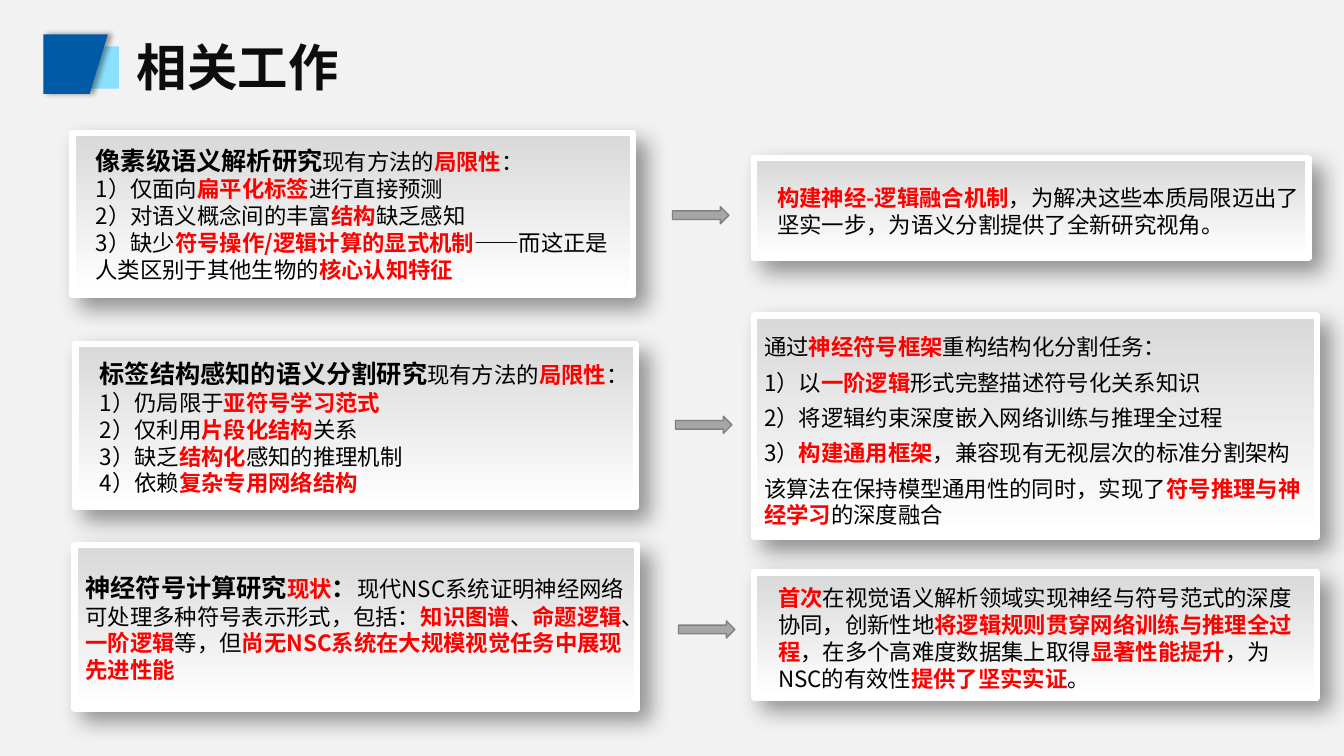
from dataclasses import dataclass

from lxml import etree
from pptx import Presentation
from pptx.dml.color import RGBColor
from pptx.enum.shapes import MSO_SHAPE
from pptx.enum.text import MSO_ANCHOR, MSO_AUTO_SIZE, PP_ALIGN
from pptx.oxml.ns import qn
from pptx.util import Pt

RECTANGLE = MSO_SHAPE.RECTANGLE
RIGHT_ARROW = MSO_SHAPE.RIGHT_ARROW
TOP = MSO_ANCHOR.TOP
LEFT = PP_ALIGN.LEFT
NO_AUTO_SIZE = MSO_AUTO_SIZE.NONE
EMU_PER_PX = 9144
EMU_PER_PT = 12700


@dataclass(frozen=True)
class Theme:
    font: str = "Noto Sans CJK SC"
    background: str = "F2F2F2"
    title: str = "0D0D0D"
    ink: str = "000000"
    accent: str = "FF0000"
    mark_back: str = "89DFFD"
    mark_front: str = "005AA6"
    card_top: str = "D9D9D9"
    card_bottom: str = "FFFFFF"
    card_border: str = "FFFFFF"
    arrow: str = "A6A6A6"
    arrow_border: str = "808080"
    title_size: int = 36
    lead_size: int = 18
    body_size: int = 16


THEME = Theme()


@dataclass(frozen=True)
class Box:
    left: int
    top: int
    width: int
    height: int

    def emu(self) -> list[int]:
        return [px(n) for n in (self.left, self.top, self.width, self.height)]


@dataclass(frozen=True)
class Span:
    text: str
    color: str = THEME.ink
    bold: bool = False
    size: int = THEME.body_size


@dataclass(frozen=True)
class Card:
    frame: Box
    text_box: Box
    paragraphs: list[list[Span]]
    space_before: int = 0


def px(length: int) -> int:
    return length * EMU_PER_PX


def rgb(color: str) -> RGBColor:
    return RGBColor.from_string(color)


def lead(text: str) -> Span:
    return Span(text, bold=True, size=THEME.lead_size)


def red(text: str) -> Span:
    return Span(text, color=THEME.accent, bold=True)


def add_span(para, text: str, *, size: int, color: str, bold: bool) -> None:
    span = para.add_run()
    span.text = text
    span.font.size = Pt(size)
    span.font.bold = bold
    span.font.name = THEME.font
    span.font.color.rgb = rgb(color)
    east_asian = etree.SubElement(span.font._element, qn("a:ea"))
    east_asian.set("typeface", THEME.font)


def add_text(slide, box: Box, paragraphs: list[list[Span]], *,
             wrap: bool = True, space_before: int = 0) -> None:
    frame = slide.shapes.add_textbox(*box.emu()).text_frame
    frame.word_wrap = wrap
    frame.auto_size = NO_AUTO_SIZE
    frame.vertical_anchor = TOP
    for index, spans in enumerate(paragraphs):
        para = frame.add_paragraph() if index else frame.paragraphs[0]
        para.alignment = LEFT
        if index:
            para.space_before = Pt(space_before)
        for span in spans:
            add_span(para, span.text, size=span.size, color=span.color, bold=span.bold)


def paint(shape, fill: str, border: str | None = None, border_width: float = 1) -> None:
    shape.shadow.inherit = False
    shape.fill.solid()
    shape.fill.fore_color.rgb = rgb(fill)
    if border is None:
        shape.line.fill.background()
    else:
        shape.line.color.rgb = rgb(border)
        shape.line.width = Pt(border_width)


def add_shadow(shape, *, blur: int, distance: int, angle: int) -> None:
    effects = shape.element.spPr.find(qn("a:effectLst"))
    shadow = etree.SubElement(effects, qn("a:outerShdw"), {
        "blurRad": str(blur * EMU_PER_PT), "dist": str(distance * EMU_PER_PT),
        "dir": str(angle * 60000), "algn": "tl", "rotWithShape": "0"})
    color = etree.SubElement(shadow, qn("a:srgbClr"), val="000000")
    etree.SubElement(color, qn("a:alpha"), val="40000")


def add_title(slide) -> None:
    back = slide.shapes.add_shape(RECTANGLE, *Box(69, 46, 49, 42).emu())
    paint(back, THEME.mark_back)
    outline = slide.shapes.build_freeform(43, 34, scale=EMU_PER_PX)
    outline.add_line_segments([(107, 34), (89, 93), (43, 93)], close=True)
    front = outline.convert_to_shape()
    paint(front, THEME.mark_front)
    add_shadow(front, blur=4, distance=3, angle=0)
    title = Span("相关工作", color=THEME.title, bold=True, size=THEME.title_size)
    add_text(slide, Box(126, 31, 220, 71), [[title]], wrap=False)


def add_card(slide, card: Card) -> None:
    frame = slide.shapes.add_shape(RECTANGLE, *card.frame.emu())
    paint(frame, THEME.card_top, THEME.card_border, 4.5)
    frame.fill.gradient()
    frame.fill.gradient_angle = 270
    for stop, color, position in zip(frame.fill.gradient_stops,
                                     (THEME.card_top, THEME.card_bottom), (0, 1)):
        stop.color.rgb = rgb(color)
        stop.position = position
    add_shadow(frame, blur=16, distance=10, angle=45)
    add_text(slide, card.text_box, card.paragraphs, space_before=card.space_before)


CARDS = [
    Card(Box(72, 132, 556, 161), Box(85, 139, 541, 148), [
        [lead("像素级语义解析研究"), Span("现有方法的"), red("局限性"), Span("：")],
        [Span("1）仅面向"), red("扁平化标签"), Span("进行直接预测")],
        [Span("2）对语义概念间的丰富"), red("结构"), Span("缺乏感知")],
        [Span("3）缺少"), red("符号操作/逻辑计算的显式机制"),
         Span("——而这正是人类区别于其他生物的"), red("核心认知特征")],
    ]),
    Card(Box(748, 157, 550, 99), Box(761, 178, 544, 108), [
        [red("构建神经-逻辑融合机制"),
         Span("，为解决这些本质局限迈出了坚实一步，为语义分割提供了全新研究视角。")],
    ]),
    Card(Box(75, 341, 556, 162), Box(89, 351, 532, 148), [
        [lead("标签结构感知的语义分割研究"), Span("现有方法的"), red("局限性"), Span("：")],
        [Span("1）仍局限于"), red("亚符号学习范式")],
        [Span("2）仅利用"), red("片段化结构"), Span("关系")],
        [Span("3）缺乏"), red("结构化"), Span("感知的推理机制")],
        [Span("4）依赖"), red("复杂专用网络结构")],
    ]),
    Card(Box(748, 313, 558, 220), Box(748, 326, 555, 200), [
        [Span("通过"), red("神经符号框架"), Span("重构结构化分割任务：")],
        [Span("1）以"), red("一阶逻辑"), Span("形式完整描述符号化关系知识")],
        [Span("2）将逻辑约束深度嵌入网络训练与推理全过程")],
        [Span("3）"), red("构建通用框架"), Span("，兼容现有无视层次的标准分割架构")],
        [Span("该算法在保持模型通用性的同时，实现了"), red("符号推理与神经学习"),
         Span("的深度融合")],
    ], space_before=6),
    Card(Box(74, 541, 558, 162), Box(75, 563, 556, 121), [
        [lead("神经符号计算研究"), red("现状"), lead("："),
         Span("现代NSC系统证明神经网络可处理多种符号表示形式，包括："),
         red("知识图谱"), Span("、"), red("命题逻辑"), Span("、"), red("一阶逻辑"),
         Span("等，但"), red("尚无NSC系统在大规模视觉任务中展现先进性能")],
    ]),
    Card(Box(748, 568, 558, 124), Box(762, 575, 550, 118), [
        [red("首次"), Span("在视觉语义解析领域实现神经与符号范式的深度协同，创新性地"),
         red("将逻辑规则贯穿网络训练与推理全过程"), Span("，在多个高难度数据集上取得"),
         red("显著性能提升"), Span("，为NSC的有效性"), red("提供了坚实实证"), Span("。")],
    ]),
]

ARROWS = [Box(667 + 3 * row, top, 56, 17) for row, top in enumerate((205, 413, 616))]


def main() -> None:
    deck = Presentation()
    deck.slide_width, deck.slide_height = px(1333), px(750)
    slide = deck.slides.add_slide(deck.slide_layouts[6])
    slide.background.fill.solid()
    slide.background.fill.fore_color.rgb = rgb(THEME.background)
    add_title(slide)
    for card in CARDS:
        add_card(slide, card)
    for box in ARROWS:
        arrow = slide.shapes.add_shape(RIGHT_ARROW, *box.emu())
        paint(arrow, THEME.arrow, THEME.arrow_border)
    deck.save("out.pptx")


if __name__ == "__main__":
    main()
